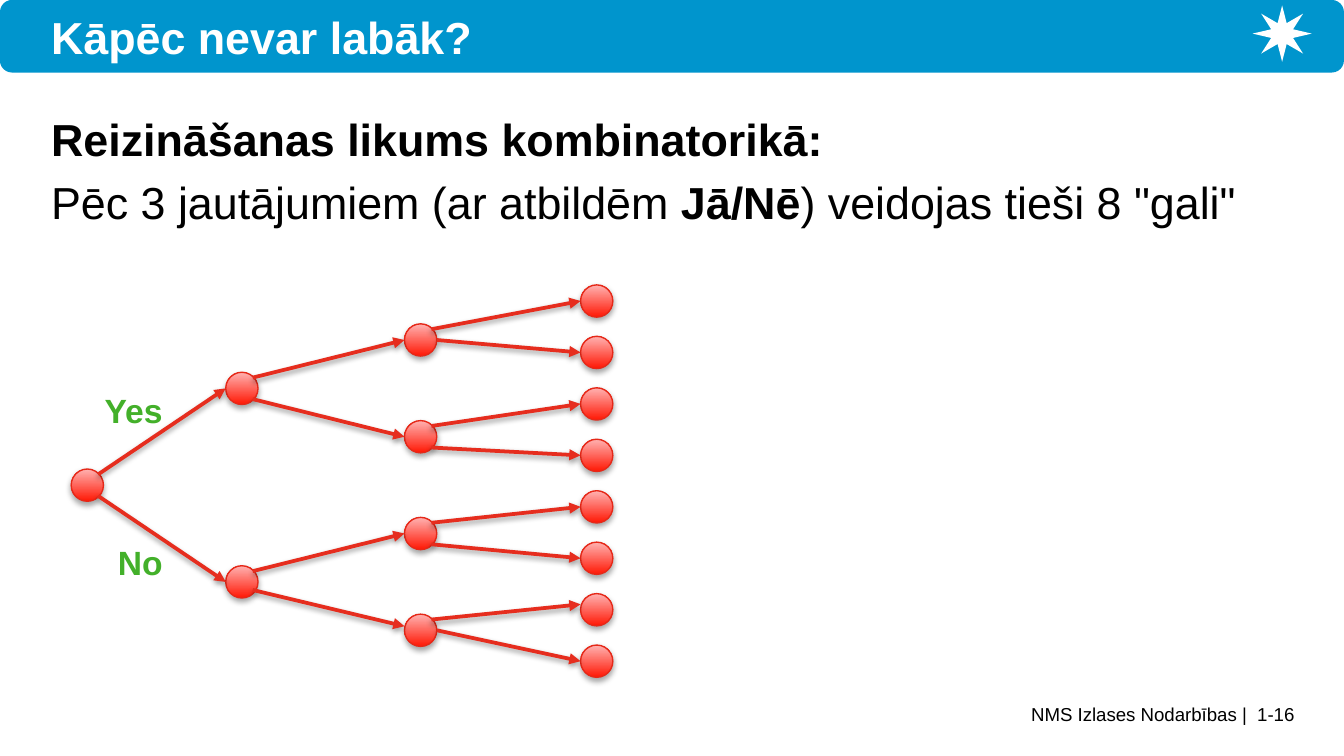
from lxml import etree
from pptx import Presentation
from pptx.dml.color import RGBColor
from pptx.enum.shapes import MSO_CONNECTOR, MSO_SHAPE
from pptx.enum.text import MSO_ANCHOR, PP_ALIGN
from pptx.oxml.ns import qn
from pptx.util import Inches, Pt

LEFT, RIGHT = PP_ALIGN.LEFT, PP_ALIGN.RIGHT
TOP, MIDDLE = MSO_ANCHOR.TOP, MSO_ANCHOR.MIDDLE
STRAIGHT = MSO_CONNECTOR.STRAIGHT
ROUNDED, OVAL, STAR = (MSO_SHAPE.ROUNDED_RECTANGLE, MSO_SHAPE.OVAL,
                       MSO_SHAPE.STAR_8_POINT)

PAGE_WIDTH = 10
PAGE_HEIGHT = PAGE_WIDTH * 9 / 16
FONT = "Arial"
COLORS = {
    "banner": "0095CD",
    "white": "FFFFFF",
    "black": "000000",
    "answer": "43B02A",
    "node_dark": "FF1805",
    "node_light": "FFB2B1",
    "node_line": "E62818",
    "arrow": "E62D1E",
}

# Decision tree: centre x, first centre y and vertical span of each level
LEVELS = [(0.65, 3.61, 0), (1.8, 2.89, 1.44), (3.13, 2.53, 2.16),
          (4.44, 2.24, 2.68)]
RADIUS = 0.12
DIAGONAL = 0.08
# Branches (level, index) that leave from the side of their parent
SIDE_BRANCHES = {(3, 1), (3, 7)}
# Branches whose start and end sit a little higher
LIFTS = {(2, 3): (0.02, 0.03), (3, 6): (0, 0.04)}


def color(name):
    return RGBColor.from_string(COLORS[name])


def add_shadow(shape, blur, distance, opacity):
    """Give a shape a black shadow that falls straight down."""
    properties = shape._element.spPr
    effects = etree.SubElement(properties, qn("a:effectLst"))
    shadow = etree.SubElement(
        effects, qn("a:outerShdw"), blurRad=str(Pt(blur)),
        dist=str(Pt(distance)), dir="5400000", rotWithShape="0")
    black = etree.SubElement(shadow, qn("a:srgbClr"), val=COLORS["black"])
    etree.SubElement(black, qn("a:alpha"), val=str(opacity * 1000))


def add_text(page, area, paragraphs, size, color_name, align=LEFT,
             anchor=TOP, margin=0.0, side_margin=0.0, wrap=True):
    """Each paragraph is (space before, [(text, bold), ...])."""
    box = page.shapes.add_textbox(*map(Inches, area))
    frame = box.text_frame
    frame.word_wrap = wrap
    frame.vertical_anchor = anchor
    frame.margin_top = frame.margin_bottom = Inches(margin)
    frame.margin_left = frame.margin_right = Inches(side_margin)
    for index, (space, spans) in enumerate(paragraphs):
        para = frame.add_paragraph() if index else frame.paragraphs[0]
        para.alignment = align
        para.space_before = Pt(space)
        para.font.name = FONT
        para.font.size = Pt(size)
        para.font.color.rgb = color(color_name)
        for text, bold in spans:
            span = para.add_run()
            span.text = text
            span.font.name = FONT
            span.font.size = Pt(size)
            span.font.bold = bold
            span.font.color.rgb = color(color_name)


def add_plain_shape(page, kind, area, color_name):
    shape = page.shapes.add_shape(kind, *map(Inches, area))
    shape.shadow.inherit = False
    shape.fill.solid()
    shape.fill.fore_color.rgb = color(color_name)
    shape.line.fill.background()
    return shape


def add_node(page, x, y):
    node = page.shapes.add_shape(
        OVAL, Inches(x - RADIUS), Inches(y - RADIUS),
        Inches(2 * RADIUS), Inches(2 * RADIUS))
    node.fill.gradient()
    node.fill.gradient_angle = 90
    for stop, name in zip(node.fill.gradient_stops,
                          ("node_dark", "node_light")):
        stop.color.rgb = color(name)
    node.line.color.rgb = color("node_line")
    node.line.width = Pt(0.75)
    add_shadow(node, 3.1, 1.8, 35)


def add_arrow(page, start, end):
    arrow = page.shapes.add_connector(STRAIGHT, *map(Inches, start + end))
    arrow.line.color.rgb = color("arrow")
    arrow.line.width = Pt(2)
    etree.SubElement(arrow.line._get_or_add_ln(), qn("a:tailEnd"),
                     type="triangle")
    add_shadow(arrow, 3.1, 1.6, 38)


def node_center(level, index):
    x, first_y, span = LEVELS[level]
    gaps = max(2 ** level - 1, 1)
    return x, first_y + index * span / gaps


def add_branch(page, level, index):
    """Join a node to its parent on the level before."""
    parent_x, parent_y = node_center(level - 1, index // 2)
    child_x, child_y = node_center(level, index)
    start_lift, end_lift = LIFTS.get((level, index), (0, 0))
    if (level, index) in SIDE_BRANCHES:
        start = (parent_x + RADIUS, parent_y)
    else:
        rise = DIAGONAL if index % 2 else -DIAGONAL
        start = (parent_x + DIAGONAL, parent_y + rise - start_lift)
    add_arrow(page, start, (child_x - RADIUS, child_y - end_lift))


def add_tree(page):
    places = [(level, index) for level in range(len(LEVELS))
              for index in range(2 ** level)]
    for place in places:
        add_node(page, *node_center(*place))
    for place in places[1:]:
        add_branch(page, *place)


def main():
    deck = Presentation()
    deck.slide_width, deck.slide_height = Inches(PAGE_WIDTH), Inches(PAGE_HEIGHT)
    page = deck.slides.add_slide(deck.slide_layouts[6])

    # Footer
    add_text(page, (2.41, 5.23, 7.22, 0.33),
             [(0, [("NMS Izlases Nodarbības |  1-16", False)])],
             10, "black", align=RIGHT)

    # Banner with a plain emblem
    add_plain_shape(page, ROUNDED, (0, 0, PAGE_WIDTH, 0.54), "banner")
    emblem = add_plain_shape(page, STAR, (9.32, 0.04, 0.44, 0.42), "white")
    emblem.adjustments[0] = 0.2

    # Statement of the rule
    add_text(page, (0.38, 0.83, 9.25, 1.09), [
        (3, [("Reizināšanas likums kombinatorikā:", True)]),
        (4.8, [("Pēc 3 jautājumiem (ar atbildēm ", False), ("Jā/Nē", True),
               (") veidojas tieši 8 \"gali\"", False)]),
    ], 24, "black")

    # Title
    add_text(page, (0.38, 0.06, 8.27, 0.42),
             [(0, [("Kāpēc nevar labāk?", True)])],
             24, "white", anchor=MIDDLE)

    # Tree of answers and its labels
    add_tree(page)
    for text, area in (("Yes", (0.68, 2.85, 0.64, 0.4)),
                       ("No", (0.78, 3.98, 0.54, 0.4))):
        add_text(page, area, [(0, [(text, True)])], 18, "answer",
                 margin=0.05, side_margin=0.1, wrap=False)

    deck.save("out.pptx")


if __name__ == "__main__":
    main()
